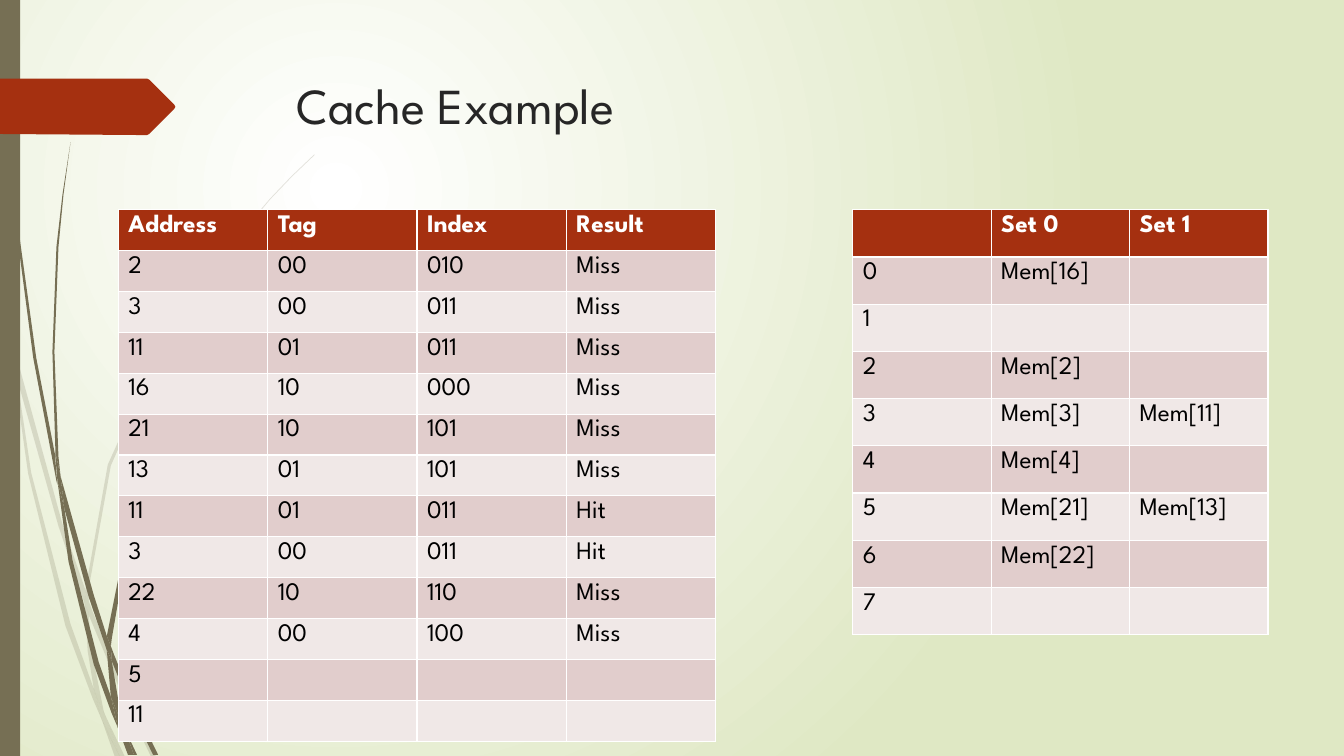
from dataclasses import dataclass

from lxml import etree
from pptx import Presentation
from pptx import util as u
from pptx.dml.color import RGBColor
from pptx.enum import shapes, text
from pptx.oxml import ns
from pptx.slide import Slide


@dataclass(frozen=True)
class Theme:
    font: str = "League Spartan"
    title_size: float = 36
    body_size: float = 18
    title: str = "262626"
    body: str = "000000"
    white: str = "FFFFFF"
    background: str = "DFE8C4"
    grass: str = "766F54"
    accent: str = "A53010"
    bands: tuple[str, str] = ("E1CDCC", "F0E8E7")


@dataclass(frozen=True)
class Grid:
    """A table: place and cell size in points, first row is the header."""
    left: float
    top: float
    column: float
    row: float
    rows: list[list[str]]


@dataclass(frozen=True)
class Plant:
    """Grass outlines, as x,y corners in steps of OUTLINE_STEP."""
    opacity: int
    outlines: list[str]


THEME = Theme()
OUTLINE_STEP = 0.72  # points

PALE_GRASS = Plant(20, [
    "11,350 9,322 0,282 0,299 10,344",
    "58,522 84,599 85,586 62,520 14,345 17,376",
    "92,607 88,596 88,610 123,694 150,751 155,751 127,692",
    "119,751 124,751 105,711",
    "93,683 70,619 31,469 17,376 11,350 28,470 65,621 92,693 101,714 99,707",
    "84,599 87,646 93,683 96,692 105,711 103,706 91,646 88,610 88,608",
    "88,584 110,462 160,349 229,245 268,198 290,175 312,154 312,153 289,175 "
    "268,197 228,244 158,348 107,461 85,584 85,586 88,596",
    "101,714 114,751 119,751",
    "88,608 88,610 88,596 85,586 84,599",
    "96,692 93,683 99,707 101,714 119,751 105,711",
])
DARK_GRASS = Plant(100, [
    "7,110 17,233 33,355 56,477 57,481 55,457 55,453 36,355 19,232 8,109 "
    "5,48 4,0 3,0 4,48",
    "88,592 106,645 106,633 106,631 93,590 60,472 64,505",
    "113,649 110,641 111,656 132,708 152,749 157,749 136,706",
    "110,691 98,657 72,556 64,505 57,477 68,557 93,659 111,708 117,722 116,717",
    "60,472 58,453 54,349 58,245 63,193 70,141 62,193 56,245 52,349 55,449",
    "133,749 136,749 122,719",
    "57,477 64,505 60,472 55,449 55,453",
    "111,633 125,552 158,476 205,406 231,374 245,359 261,344 260,344 245,358 "
    "231,373 204,405 156,474 122,551 106,631 110,641",
    "117,722 127,749 131,749",
    "106,645 110,691 116,706 122,719 121,716 111,656 109,651",
    "106,645 109,651 111,656 110,641 106,631 106,633",
    "116,706 110,691 116,717 117,722 130,749 133,749 122,719",
])
TITLE_ARROW = ("173,108 148,133 146,134 136,134 0,133 0,78 136,78 146,78 "
               "148,79 173,104 174,106")

CACHE_SETS = Grid(609.1, 149.8, 98.9, 33.76, [
    ["", "Set 0", "Set 1"],
    ["0", "Mem[16]", ""],
    ["1", "", ""],
    ["2", "Mem[2]", ""],
    ["3", "Mem[3]", "Mem[11]"],
    ["4", "Mem[4]", ""],
    ["5", "Mem[21]", "Mem[13]"],
    ["6", "Mem[22]", ""],
    ["7", "", ""],
])
ACCESSES = Grid(84.5, 149.8, 106.7, 29.2, [
    ["Address", "Tag", "Index", "Result"],
    ["2", "00", "010", "Miss"],
    ["3", "00", "011", "Miss"],
    ["11", "01", "011", "Miss"],
    ["16", "10", "000", "Miss"],
    ["21", "10", "101", "Miss"],
    ["13", "01", "101", "Miss"],
    ["11", "01", "011", "Hit"],
    ["3", "00", "011", "Hit"],
    ["22", "10", "110", "Miss"],
    ["4", "00", "100", "Miss"],
    ["5", "", "", ""],
    ["11", "", "", ""],
])


def rgb(value: str) -> RGBColor:
    return RGBColor.from_string(value)


def paint_background(slide: Slide) -> None:
    fill = slide.background.fill
    fill.gradient()
    for stop, color in zip(fill.gradient_stops, (THEME.white, THEME.background)):
        stop.color.rgb = rgb(color)
    # Radial gradient centred a quarter of the way in
    gradient = slide.element.find(".//" + ns.qn("a:gradFill"))
    gradient.remove(gradient.find(ns.qn("a:lin")))
    circle = etree.SubElement(gradient, ns.qn("a:path"), {"path": "circle"})
    etree.SubElement(circle, ns.qn("a:fillToRect"),
                     {"l": "50000", "t": "50000", "r": "100000", "b": "100000"})


def fill_flat(shape, color: str, opacity: int = 100) -> None:
    shape.shadow.inherit = False
    shape.line.fill.background()
    shape.fill.solid()
    shape.fill.fore_color.rgb = rgb(color)
    if opacity < 100:
        tint = shape.element.spPr.find(".//" + ns.qn("a:srgbClr"))
        etree.SubElement(tint, ns.qn("a:alpha"), {"val": str(opacity * 1000)})


def draw_outline(slide: Slide, outline: str, color: str, opacity: int = 100) -> None:
    corners = [tuple(map(int, corner.split(","))) for corner in outline.split()]
    builder = slide.shapes.build_freeform(*corners[0], scale=u.Pt(OUTLINE_STEP))
    builder.add_line_segments(corners[1:], close=True)
    fill_flat(builder.convert_to_shape(), color, opacity)


def style_font(font, size: float, color: str, bold: bool = False) -> None:
    font.name = THEME.font
    font.size = u.Pt(size)
    font.bold = bold
    font.color.rgb = rgb(color)


def write_title(slide: Slide, words: str) -> None:
    title = slide.shapes.title
    title.left, title.top = u.Pt(204.5), u.Pt(49)
    title.width, title.height = u.Pt(702), u.Pt(100.8)
    frame = title.text_frame
    frame.text = words
    frame.vertical_anchor = text.MSO_ANCHOR.TOP
    heading = frame.paragraphs[0]
    heading.alignment = text.PP_ALIGN.LEFT
    style_font(heading.font, THEME.title_size, THEME.title)


def draw_table(slide: Slide, grid: Grid) -> None:
    row_count, column_count = len(grid.rows), len(grid.rows[0])
    table = slide.shapes.add_table(
        row_count, column_count, u.Pt(grid.left), u.Pt(grid.top),
        u.Pt(grid.column * column_count), u.Pt(grid.row * row_count)).table
    for r, entries in enumerate(grid.rows):
        header = r == 0
        for c, entry in enumerate(entries):
            cell = table.cell(r, c)
            cell.fill.solid()
            cell.fill.fore_color.rgb = rgb(THEME.accent if header
                                           else THEME.bands[(r - 1) % 2])
            cell.text = entry
            style_font(cell.text_frame.paragraphs[0].font, THEME.body_size,
                       THEME.white if header else THEME.body, header)


def main() -> None:
    deck = Presentation()
    deck.slide_width, deck.slide_height = u.Pt(960), u.Pt(540)
    slide = deck.slides.add_slide(deck.slide_layouts.get_by_name("Title Only"))

    # Backdrop
    paint_background(slide)
    for plant in (PALE_GRASS, DARK_GRASS):
        for outline in plant.outlines:
            draw_outline(slide, outline, THEME.grass, plant.opacity)
    edge_bar = slide.shapes.add_shape(shapes.MSO_SHAPE.RECTANGLE, u.Pt(0), u.Pt(0),
                                      u.Pt(14.4), u.Pt(540))
    fill_flat(edge_bar, THEME.grass)
    draw_outline(slide, TITLE_ARROW, THEME.accent)

    # Content
    write_title(slide, "Cache Example")
    for grid in (CACHE_SETS, ACCESSES):
        draw_table(slide, grid)

    deck.save("out.pptx")


if __name__ == "__main__":
    main()
